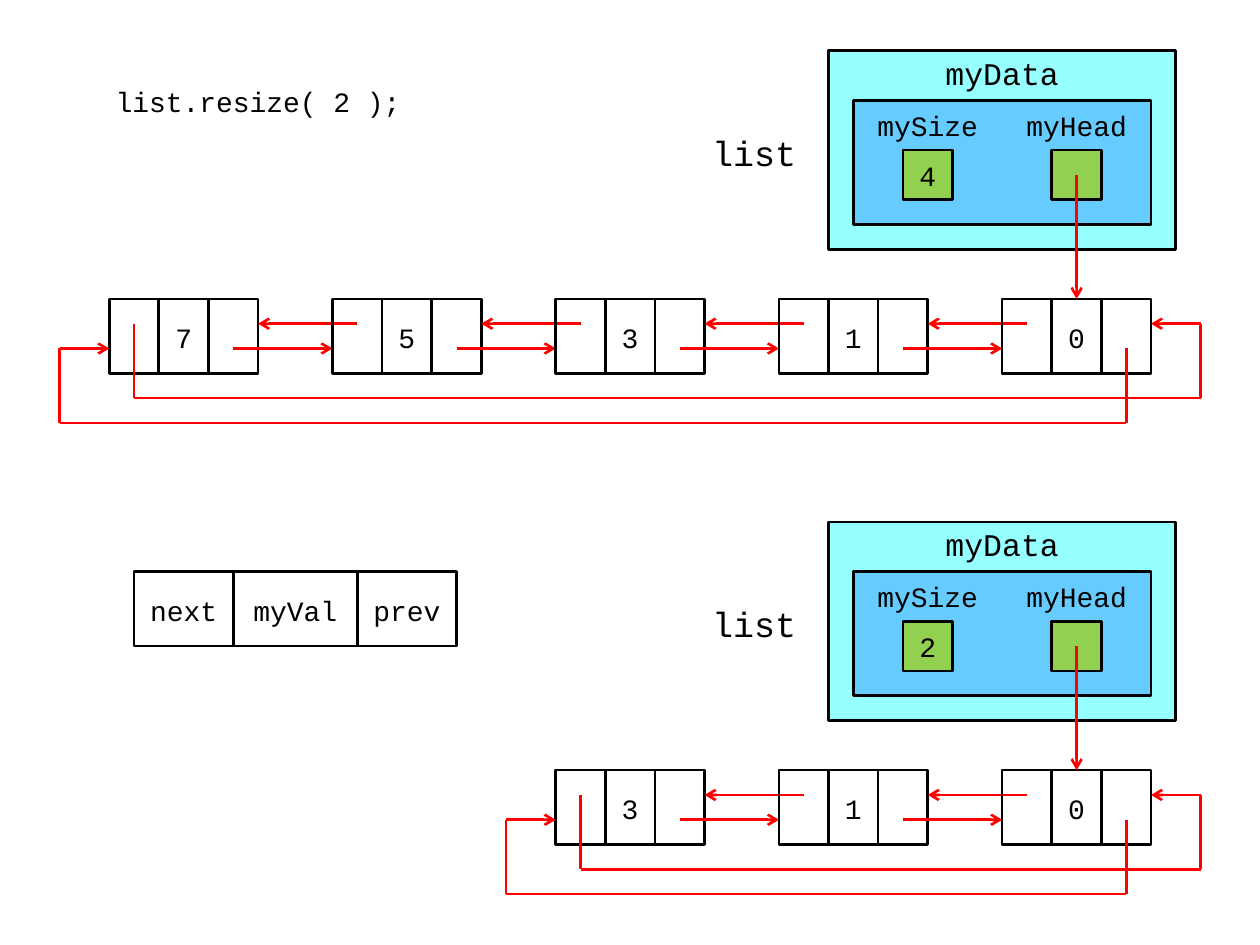
from dataclasses import dataclass
from itertools import pairwise

from lxml import etree
from pptx import Presentation
from pptx.dml.color import RGBColor
from pptx.enum.shapes import MSO_CONNECTOR, MSO_SHAPE
from pptx.enum.text import MSO_ANCHOR, PP_ALIGN
from pptx.oxml.ns import qn
from pptx.util import Inches, Length, Pt

FONT = "Courier New"
BLACK, RED = "000000", "FF0000"
CYAN, BLUE, GREEN = "96FFFF", "66CCFF", "92D050"

# Everything sits on a 5 mm grid
UNIT = 0.5 / 2.54
LEFT, TOP = 0.08, 0.01
CELL, NODE_HEIGHT = 2, 3
NODE_STEP, HEAD_X = 9, 40

Insets = tuple[float, float, float, float]
Point = tuple[float, float]
CELL_INSETS: Insets = (0.1, 0.06, 0.1, 0.04)
PLAIN_INSETS: Insets = (0.1, 0.05, 0.1, 0.05)


@dataclass(frozen=True)
class Box:
    x: float
    y: float
    width: float
    height: float
    text: str = ""
    size: int = 16
    insets: Insets = CELL_INSETS
    fill: str = ""
    kind: MSO_SHAPE = MSO_SHAPE.RECTANGLE


@dataclass(frozen=True)
class ListState:
    top: int
    values: tuple[str, ...]
    stored_size: str


STATES = [
    ListState(2, ("7", "5", "3", "1", "0"), "4"),
    ListState(21, ("3", "1", "0"), "2"),
]

prs = Presentation()
prs.slide_width, prs.slide_height = Inches(10), Inches(7.5)
slide = prs.slides.add_slide(prs.slide_layouts[6])


def color(value: str) -> RGBColor:
    return RGBColor.from_string(value)


def grid_x(x: float) -> Length:
    return Inches(LEFT + x * UNIT)


def grid_y(y: float) -> Length:
    return Inches(TOP + y * UNIT)


def span(units: float) -> Length:
    return Inches(units * UNIT)


def write_text(shape, text: str, size: int, insets: Insets) -> None:
    frame = shape.text_frame
    frame.word_wrap = True
    frame.vertical_anchor = MSO_ANCHOR.MIDDLE
    (frame.margin_left, frame.margin_top,
     frame.margin_right, frame.margin_bottom) = map(Inches, insets)
    paragraph = frame.paragraphs[0]
    paragraph.alignment = PP_ALIGN.CENTER
    run = paragraph.add_run()
    run.text = text
    run.font.name, run.font.size = FONT, Pt(size)
    run.font.color.rgb = color(BLACK)


def draw_box(box: Box) -> None:
    shape = slide.shapes.add_shape(box.kind, grid_x(box.x), grid_y(box.y),
                                   span(box.width), span(box.height))
    shape.shadow.inherit = False
    if box.fill:
        shape.fill.solid()
        shape.fill.fore_color.rgb = color(box.fill)
    else:
        shape.fill.background()
    shape.line.color.rgb = color(BLACK)
    shape.line.width = Pt(1.5)
    if box.text:
        write_text(shape, box.text, box.size, box.insets)


def draw_label(box: Box) -> None:
    label = slide.shapes.add_textbox(grid_x(box.x), grid_y(box.y),
                                     span(box.width), span(box.height))
    write_text(label, box.text, box.size, box.insets)


def draw_path(*points: Point) -> None:
    """Join the points with straight lines; the last one ends in an arrow."""
    for start, end in pairwise(points):
        line = slide.shapes.add_connector(
            MSO_CONNECTOR.STRAIGHT, grid_x(start[0]), grid_y(start[1]),
            grid_x(end[0]), grid_y(end[1]))
        line.line.color.rgb = color(RED)
        line.line.width = Pt(1.5)
        properties = line._element.spPr
        etree.SubElement(properties, qn("a:effectLst"))
        if end == points[-1]:
            etree.SubElement(properties.find(qn("a:ln")), qn("a:tailEnd"), type="arrow")


def draw_nodes(y: int, values: tuple[str, ...]) -> None:
    first = HEAD_X - NODE_STEP * (len(values) - 1)
    for index, value in enumerate(values):
        x = first + index * NODE_STEP
        for cell, text in enumerate(("", value, "")):
            draw_box(Box(x + cell * CELL, y, CELL, NODE_HEIGHT, text))
        # Links to and from the node on the right
        if x < HEAD_X:
            draw_path((x + 5, y + 2), (x + NODE_STEP, y + 2))
            draw_path((x + NODE_STEP + 1, y + 1), (x + 6, y + 1))

    # Links that close the ring
    draw_path((first + 1, y + 1), (first + 1, y + 4), (HEAD_X + 8, y + 4),
              (HEAD_X + 8, y + 1), (HEAD_X + 6, y + 1))
    draw_path((HEAD_X + 5, y + 2), (HEAD_X + 5, y + 5), (first - 2, y + 5),
              (first - 2, y + 2), (first, y + 2))


def draw_state(state: ListState) -> None:
    y = state.top
    draw_nodes(y + 10, state.values)
    # List object and its fields
    process = MSO_SHAPE.FLOWCHART_PROCESS
    draw_box(Box(33, y, 14, 8, fill=CYAN, kind=process))
    draw_box(Box(34, y + 2, 12, 5, fill=BLUE, kind=process))
    draw_box(Box(36, y + 4, CELL, CELL, state.stored_size, 16, PLAIN_INSETS, GREEN))
    draw_box(Box(42, y + 4, CELL, CELL, fill=GREEN))
    draw_label(Box(27, y + 2, 6, 4, "list", 20, (0.08, 0.04, 0.08, 0)))
    draw_label(Box(37, y, 6, 2, "myData", 18, (0.08, 0, 0.08, 0.04)))
    draw_label(Box(34, y + 2, 6, 2, "mySize", 16, PLAIN_INSETS))
    draw_label(Box(40, y + 2, 6, 2, "myHead", 16, (0.04, 0.05, 0.04, 0.05)))
    draw_path((43, y + 5), (43, y + 10))


# Statement shown at the top
draw_label(Box(3, 3, 14, 2, "list.resize( 2 );"))

# The list before and after
for list_state in STATES:
    draw_state(list_state)

# Key to the node fields
field_x = 5
for field, width in (("next", 4), ("myVal", 5), ("prev", 4)):
    draw_box(Box(field_x, 23, width, NODE_HEIGHT, field))
    field_x += width

prs.save("out.pptx")
